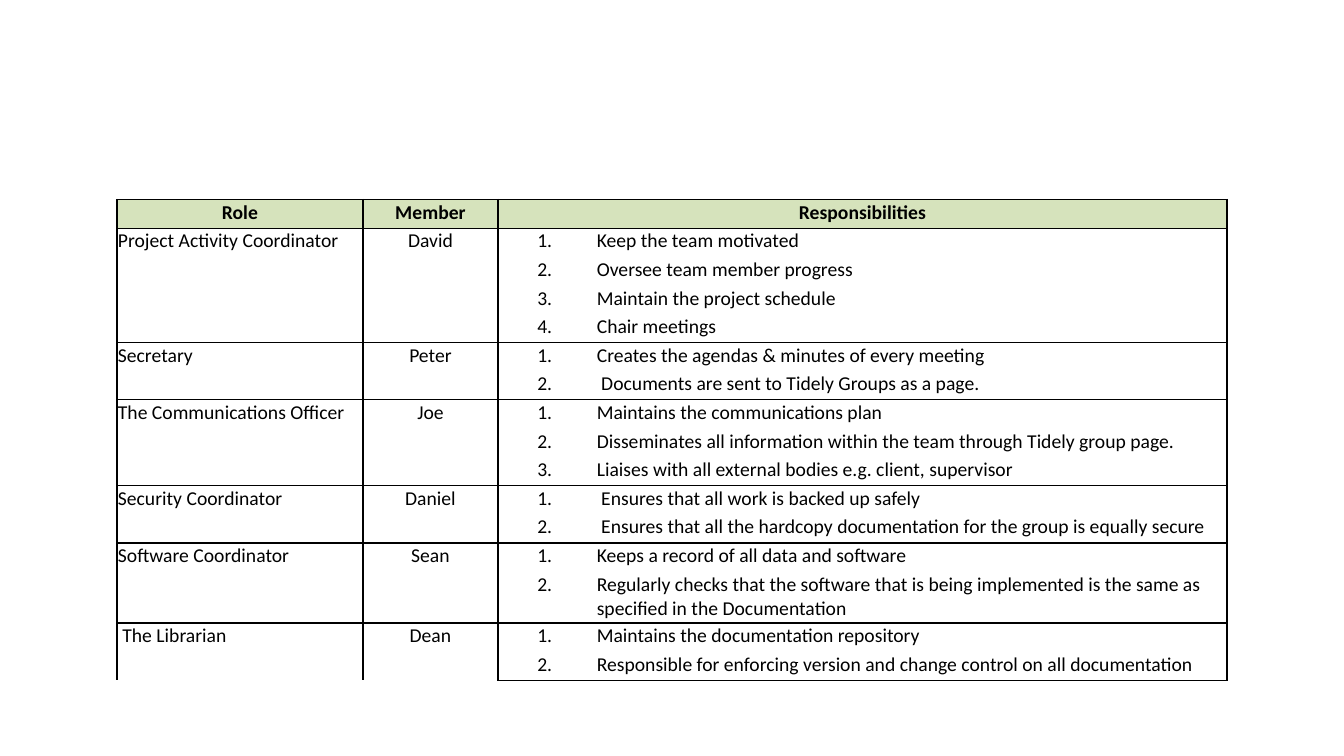
from lxml import etree
from pptx import Presentation
from pptx.dml.color import RGBColor
from pptx.enum.text import PP_ALIGN
from pptx.oxml.ns import qn
from pptx.util import Inches, Pt

CENTER, LEFT = PP_ALIGN.CENTER, PP_ALIGN.LEFT
BLACK = RGBColor(0x00, 0x00, 0x00)
WHITE = RGBColor(0xFF, 0xFF, 0xFF)
HEADER_GREEN = RGBColor(0xD6, 0xE3, 0xBC)

HEADERS = ("Role", "Member", "Responsibilities")
ROLES = [
    ("Project Activity Coordinator", "David", [
        "Keep the team motivated",
        "Oversee team member progress",
        "Maintain the project schedule",
        "Chair meetings",
    ]),
    ("Secretary", "Peter", [
        "Creates the agendas & minutes of every meeting",
        " Documents are sent to Tidely Groups as a page.",
    ]),
    ("The Communications Officer", "Joe", [
        "Maintains the communications plan",
        "Disseminates all information within the team through Tidely group page.",
        "Liaises with all external bodies e.g. client, supervisor",
    ]),
    ("Security Coordinator", "Daniel", [
        " Ensures that all work is backed up safely",
        " Ensures that all the hardcopy documentation for the group is equally secure",
    ]),
    ("Software Coordinator", "Sean", [
        "Keeps a record of all data and software",
        "Regularly checks that the software that is being implemented is the same as "
        "specified in the Documentation",
    ]),
    (" The Librarian", "Dean", [
        "Maintains the documentation repository",
        "Responsible for enforcing version and change control on all documentation",
    ]),
]
LEFT_EDGE, TOP_EDGE, HEIGHT = 1.16, 1.98, 4.77
COLUMN_WIDTHS = (2.44, 1.34, 7.23)
WRAPPED_HEIGHT, WRAPPED_LENGTH = 0.51, 90
LIST_INSET, CELL_INSET, HANGING = 0.39, 0.01, 0.59


def write_cell(cell, text, alignment, bold=False, inset=CELL_INSET):
    """Fill in the text of a cell and return its paragraph."""
    cell.margin_left = Inches(inset)
    paragraph = cell.text_frame.paragraphs[0]
    paragraph.text = text
    paragraph.alignment = alignment
    font = paragraph.font
    font.name, font.size, font.bold = "Calibri", Pt(14), bold
    font.color.rgb = BLACK
    return paragraph


def number_paragraph(paragraph, number):
    """Give a paragraph a hanging automatic number."""
    properties = paragraph._p.get_or_add_pPr()
    properties.set("marL", str(Inches(HANGING)))
    properties.set("indent", str(-Inches(HANGING)))
    numbering = etree.Element(qn("a:buAutoNum"), type="arabicPeriod", startAt=str(number))
    properties.insert(0, numbering)


def style_cell(cell, fill, is_first, is_last):
    """Set insets and fill, and rule the outer edges of a row group."""
    cell.margin_left = cell.margin_right = cell.margin_top = Inches(CELL_INSET)
    cell.margin_bottom = 0
    cell.fill.solid()
    cell.fill.fore_color.rgb = fill
    edges = (("a:lnL", True), ("a:lnR", True), ("a:lnT", is_first), ("a:lnB", is_last))
    for position, (tag, visible) in enumerate(edges):
        line = etree.Element(qn(tag), w=str(Pt(1)))
        if visible:
            solid = etree.SubElement(line, qn("a:solidFill"))
            etree.SubElement(solid, qn("a:srgbClr"), val=str(BLACK))
        else:
            etree.SubElement(line, qn("a:noFill"))
        cell._tc.get_or_add_tcPr().insert(position, line)


def main():
    """Build the slide with the table of team roles."""
    presentation = Presentation()
    presentation.slide_width, presentation.slide_height = Inches(13.33), Inches(7.5)
    slide = presentation.slides.add_slide(presentation.slide_layouts[6])
    duties = [duty for _, _, group in ROLES for duty in group]
    row_count = 1 + len(duties)
    table = slide.shapes.add_table(
        row_count, len(HEADERS), Inches(LEFT_EDGE), Inches(TOP_EDGE),
        Inches(sum(COLUMN_WIDTHS)), Inches(HEIGHT)).table
    table.first_row = table.horz_banding = False
    for column, width in zip(table.columns, COLUMN_WIDTHS):
        column.width = Inches(width)
    row_height = (HEIGHT - WRAPPED_HEIGHT) / (row_count - 1)
    for row, text in zip(table.rows, ["", *duties]):
        row.height = Inches(WRAPPED_HEIGHT if len(text) > WRAPPED_LENGTH else row_height)

    for column, header in enumerate(HEADERS):
        cell = table.cell(0, column)
        style_cell(cell, HEADER_GREEN, True, True)
        write_cell(cell, header, CENTER, bold=True)

    start = 1
    for role, member, group in ROLES:
        last = start + len(group) - 1
        for number, duty in enumerate(group, 1):
            row = start + number - 1
            for column in range(len(HEADERS)):
                style_cell(table.cell(row, column), WHITE, row == start, row == last)
            paragraph = write_cell(table.cell(row, 2), duty, LEFT, inset=LIST_INSET)
            number_paragraph(paragraph, number)
        for column, (text, alignment) in enumerate(((role, LEFT), (member, CENTER))):
            table.cell(start, column).merge(table.cell(last, column))
            write_cell(table.cell(start, column), text, alignment)
        start = last + 1

    presentation.save("out.pptx")


if __name__ == "__main__":
    main()
